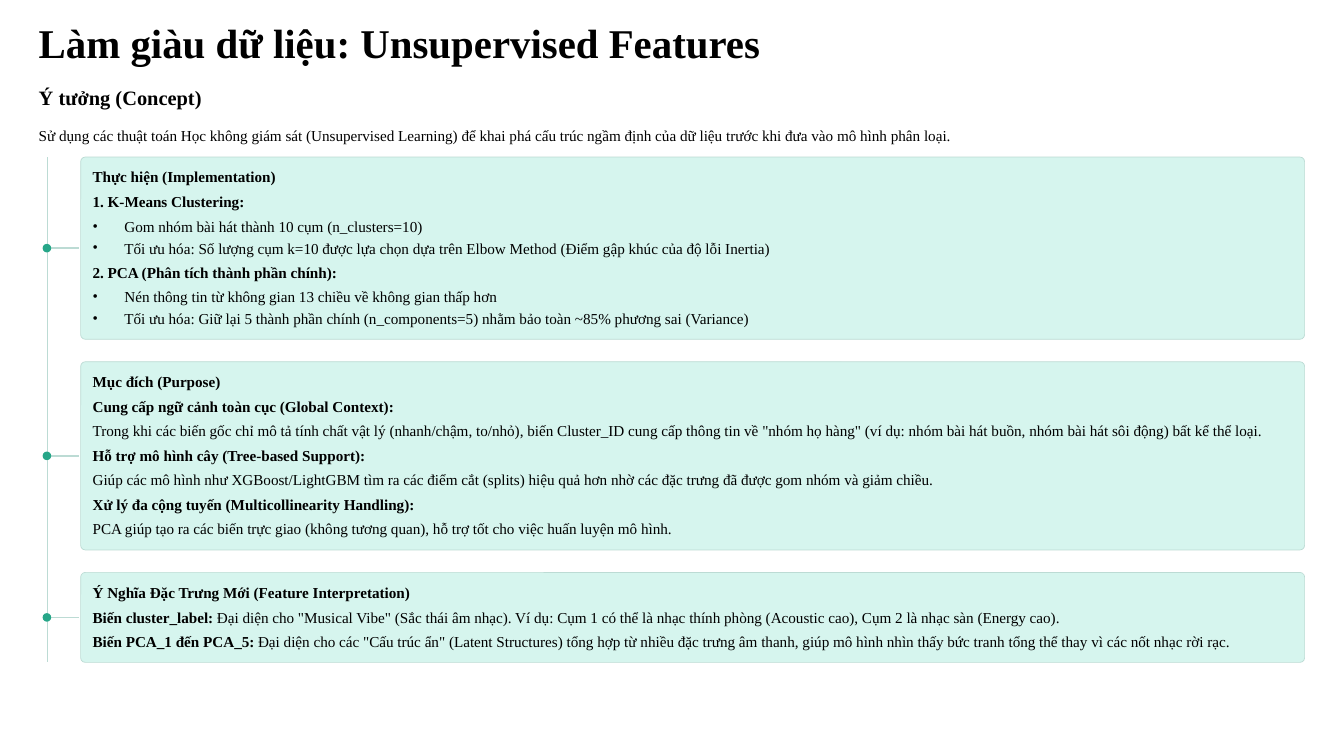
from lxml.etree import SubElement
from pptx import Presentation
from pptx.dml.color import RGBColor
from pptx.enum.shapes import MSO_CONNECTOR, MSO_SHAPE
from pptx.enum.text import MSO_ANCHOR, MSO_AUTO_SIZE, PP_ALIGN
from pptx.oxml.ns import qn
from pptx.util import Cm, Pt

COLORS = {"text": "000000", "card": "D6F5EE", "line": "BCDBD4", "dot": "26A688"}
FONT = "Times New Roman"
RAIL_X = 1.44
CARD_X, CARD_W, CARD_GAP = 2.44, 37.01, 0.68
CARDS_TOP = 4.75
INSET = 0.36
INDENT = 0.96

CARDS = [
    (5.51, [
        ("head", "Thực hiện (Implementation)", ""),
        ("text", "1. K-Means Clustering:", ""),
        ("bullet", "", "Gom nhóm bài hát thành 10 cụm (n_clusters=10)"),
        ("bullet", "", "Tối ưu hóa: Số lượng cụm k=10 được lựa chọn dựa trên Elbow Method "
                       "(Điểm gập khúc của độ lỗi Inertia)"),
        ("text", "2. PCA (Phân tích thành phần chính):", ""),
        ("bullet", "", "Nén thông tin từ không gian 13 chiều về không gian thấp hơn"),
        ("bullet", "", "Tối ưu hóa: Giữ lại 5 thành phần chính (n_components=5) "
                       "nhằm bảo toàn ~85% phương sai (Variance)"),
    ]),
    (5.69, [
        ("head", "Mục đích (Purpose)", ""),
        ("text", "Cung cấp ngữ cảnh toàn cục (Global Context):", ""),
        ("text", "", "Trong khi các biến gốc chỉ mô tả tính chất vật lý (nhanh/chậm, to/nhỏ), "
                     "biến Cluster_ID cung cấp thông tin về \"nhóm họ hàng\" "
                     "(ví dụ: nhóm bài hát buồn, nhóm bài hát sôi động) bất kể thể loại."),
        ("text", "Hỗ trợ mô hình cây (Tree-based Support):", ""),
        ("text", "", "Giúp các mô hình như XGBoost/LightGBM tìm ra các điểm cắt (splits) "
                     "hiệu quả hơn nhờ các đặc trưng đã được gom nhóm và giảm chiều."),
        ("text", "Xử lý đa cộng tuyến (Multicollinearity Handling):", ""),
        ("text", "", "PCA giúp tạo ra các biến trực giao (không tương quan), "
                     "hỗ trợ tốt cho việc huấn luyện mô hình."),
    ]),
    (2.72, [
        ("head", "Ý Nghĩa Đặc Trưng Mới (Feature Interpretation)", ""),
        ("text", "Biến cluster_label:",
         " Đại diện cho \"Musical Vibe\" (Sắc thái âm nhạc). Ví dụ: Cụm 1 có thể là "
         "nhạc thính phòng (Acoustic cao), Cụm 2 là nhạc sàn (Energy cao)."),
        ("text", "Biến PCA_1 đến PCA_5:",
         " Đại diện cho các \"Cấu trúc ẩn\" (Latent Structures) tổng hợp từ nhiều đặc trưng "
         "âm thanh, giúp mô hình nhìn thấy bức tranh tổng thể thay vì các nốt nhạc rời rạc."),
    ]),
]


def rgb(name):
    return RGBColor.from_string(COLORS[name])


def place(sp, x, y, w, h):
    sp.left, sp.top, sp.width, sp.height = Cm(x), Cm(y), Cm(w), Cm(h)
    tf = sp.text_frame
    tf.margin_left = tf.margin_right = tf.margin_top = tf.margin_bottom = 0
    tf.word_wrap = True
    tf.auto_size = MSO_AUTO_SIZE.NONE
    tf.vertical_anchor = MSO_ANCHOR.TOP
    return tf


def write(p, bold, plain, size=13, line=15, before=0, bullet=False):
    pPr = p._p.get_or_add_pPr()
    indent = Cm(INDENT) if bullet else 0
    pPr.set("marL", str(indent))
    pPr.set("indent", str(-indent))
    if bullet:
        SubElement(pPr, qn("a:buFont"), typeface=FONT)
        SubElement(pPr, qn("a:buChar"), char="•")
    else:
        SubElement(pPr, qn("a:buNone"))
    p.alignment = PP_ALIGN.LEFT
    p.line_spacing, p.space_before, p.space_after = Pt(line), Pt(before), Pt(0)
    for text, is_bold in ((bold, True), (plain, False)):
        if text:
            r = p.add_run()
            r.text = text
            r.font.name, r.font.size, r.font.bold = FONT, Pt(size), is_bold
            r.font.color.rgb = rgb("text")


def add_line(s, x1, y1, x2, y2):
    c = s.shapes.add_connector(MSO_CONNECTOR.STRAIGHT, Cm(x1), Cm(y1), Cm(x2), Cm(y2))
    c.line.color.rgb = rgb("line")
    c.line.width = Pt(1.4)
    SubElement(c._element.spPr, qn("a:effectLst"))


def add_filled(s, kind, x, y, w, h, fill):
    sp = s.shapes.add_shape(kind, Cm(x), Cm(y), Cm(w), Cm(h))
    sp.shadow.inherit = False
    sp.fill.solid()
    sp.fill.fore_color.rgb = rgb(fill)
    sp.line.fill.background()
    return sp


def add_header(title, intro, x, y, w):
    tf = place(title, x, y, w, 1.12)
    write(tf.paragraphs[0], "Làm giàu dữ liệu: Unsupervised Features", "", 35, 29.5)
    tf = place(intro, x, y + 1.8, w, 1.6)
    write(tf.paragraphs[0], "Ý tưởng (Concept)", "", 17.5, 14.5)
    write(tf.add_paragraph(), "",
          "Sử dụng các thuật toán Học không giám sát (Unsupervised Learning) để khai phá "
          "cấu trúc ngầm định của dữ liệu trước khi đưa vào mô hình phân loại.", before=15)


def add_card(s, body, rows, x, y, w, h):
    middle = y + h / 2
    add_line(s, RAIL_X - 0.06, middle, x - 0.05, middle)
    add_filled(s, MSO_SHAPE.OVAL, RAIL_X - 0.15, middle - 0.13, 0.26, 0.26, "dot")
    card = add_filled(s, MSO_SHAPE.ROUNDED_RECTANGLE, x, y, w, h, "card")
    card.adjustments[0] = 0.14 / h
    card.line.color.rgb = rgb("line")
    card.line.width = Pt(0.6)
    card._element.addnext(body._element)

    tf = place(body, x + INSET, y + INSET, w - 2 * INSET, h - 2 * INSET)
    previous = None
    for kind, bold, plain in rows:
        p = tf.add_paragraph() if previous else tf.paragraphs[0]
        if previous is None:
            before = 0
        elif previous == "head":
            before = 6.4
        else:
            before = 3.7 if kind == previous == "bullet" else 5.9
        write(p, bold, plain, line=14.5 if kind == "head" else 15,
              before=before, bullet=kind == "bullet")
        previous = kind


def add_timeline(s, bodies, x, y, w):
    bottom = y + sum(h for h, _ in CARDS) + CARD_GAP * (len(CARDS) - 1)
    add_line(s, RAIL_X, y, RAIL_X, bottom)
    for body, (h, rows) in zip(bodies, CARDS):
        add_card(s, body, rows, x, y, w, h)
        y += h + CARD_GAP


def main():
    prs = Presentation()
    prs.slide_width, prs.slide_height = Cm(40.64), Cm(22.86)
    layout = prs.slide_layouts.get_by_name("Comparison")
    s = prs.slides.add_slide(layout)
    title, intro, *bodies = s.placeholders
    add_header(title, intro, 1.17, 0.99, 38.28)
    add_timeline(s, bodies, CARD_X, CARDS_TOP, CARD_W)
    prs.save("out.pptx")


if __name__ == "__main__":
    main()
